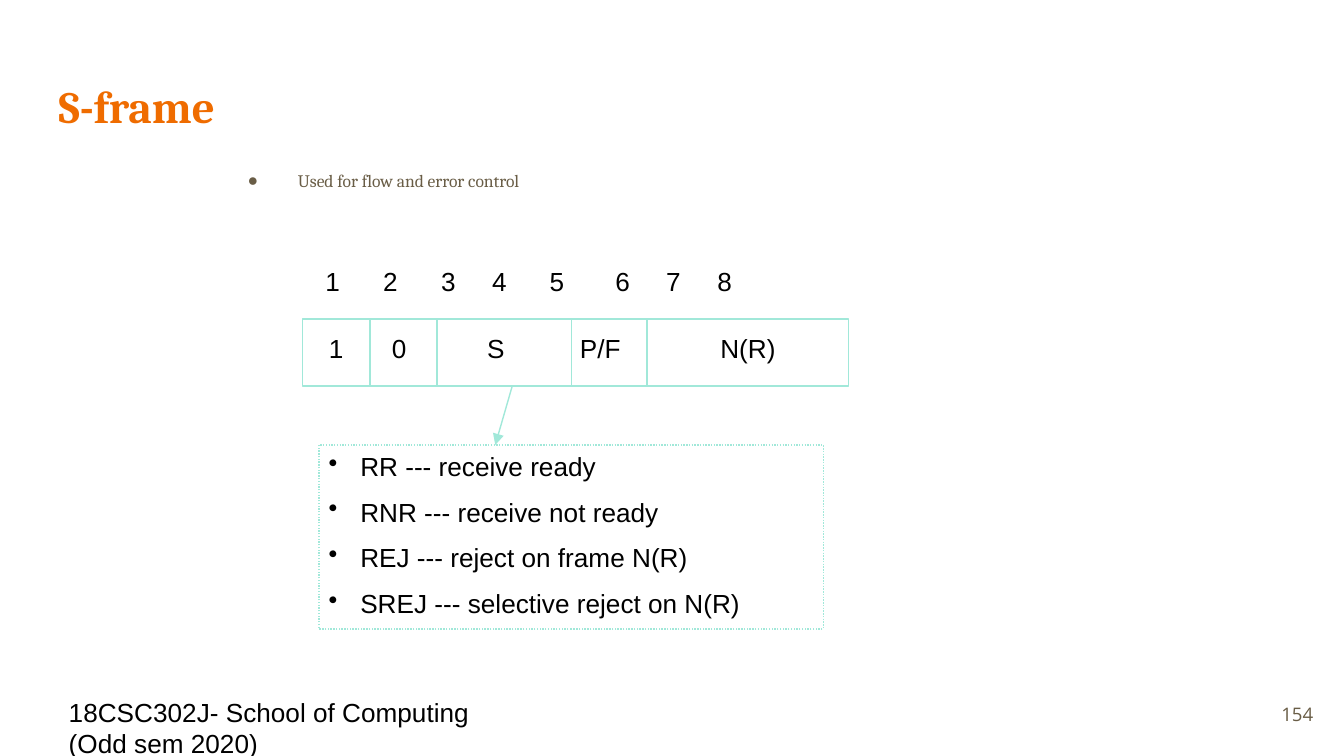
from pptx import Presentation
from pptx.dml.color import RGBColor
from pptx.enum.dml import MSO_LINE
from pptx.enum.shapes import MSO_CONNECTOR, MSO_SHAPE
from pptx.enum.text import MSO_ANCHOR as Anchor, MSO_AUTO_SIZE as AutoSize, PP_ALIGN as Align
from pptx.oxml.ns import qn
from pptx.util import Cm, Pt
from lxml.etree import SubElement

ORANGE, BROWN, MINT, BLACK = "EF6C00", "695D46", "A1E8D9", "000000"


def color(hex_string):
    """Turn a hex string into a colour."""
    return RGBColor.from_string(hex_string)


def write(frame, text, size=14, font="Arial", ink=BLACK, bold=False, align=Align.LEFT,
          anchor=Anchor.TOP, inset=(0.18, 0.1), gap=0, line_spacing=None,
          bullet=None, margin=0, hanging=0, tabs=()):
    """Fill a text frame with one paragraph per line of text."""
    frame.word_wrap = True
    frame.auto_size = AutoSize.NONE
    frame.vertical_anchor = anchor
    frame.margin_left = frame.margin_right = Cm(inset[0])
    frame.margin_top = frame.margin_bottom = Cm(inset[1])
    frame.text = text
    for index, paragraph in enumerate(frame.paragraphs):
        properties = paragraph._p.get_or_add_pPr()
        if bullet:
            properties.set("marL", str(Cm(margin)))
            properties.set("indent", str(-Cm(hanging)))
            SubElement(properties, qn("a:buChar"), char=bullet)
        if tabs:
            tab_list = SubElement(properties, qn("a:tabLst"))
            for stop in tabs:
                SubElement(tab_list, qn("a:tab"), pos=str(Cm(stop)), algn="l")
        paragraph.alignment = align
        paragraph.space_before = Pt(gap if index else 0)
        if line_spacing:
            paragraph.line_spacing = line_spacing
        style = paragraph.font
        style.name, style.size, style.bold = font, Pt(size), bold
        style.color.rgb = color(ink)


def place(part, box):
    """Move a placeholder to a box in centimetres."""
    part.left, part.top, part.width, part.height = map(Cm, box)


def label(slide, box, text, **style):
    """Add a text box in centimetres."""
    write(slide.shapes.add_textbox(*map(Cm, box)).text_frame, text, **style)


def outline(slide, box, dash=None):
    """Add an unfilled rectangle with a thin mint border."""
    rectangle = slide.shapes.add_shape(MSO_SHAPE.RECTANGLE, *map(Cm, box))
    rectangle.shadow.inherit = False
    rectangle.fill.background()
    rectangle.line.color.rgb = color(MINT)
    rectangle.line.width = Pt(0.75)
    if dash:
        rectangle.line.dash_style = dash
    return rectangle


def connect(slide, start, end, arrow=False):
    """Draw a thin mint line, with an arrowhead at its end if asked."""
    link = slide.shapes.add_connector(MSO_CONNECTOR.STRAIGHT, *map(Cm, start + end))
    link.line.color.rgb = color(MINT)
    link.line.width = Pt(0.75)
    if arrow:
        SubElement(link.line._get_or_add_ln(), qn("a:tailEnd"), type="triangle")
    SubElement(link._element.spPr, qn("a:effectLst"))


def add_heading(slide, title_box, body_box):
    """Fill the title and the bullet below it."""
    title, body = slide.placeholders
    place(title, title_box)
    write(title.text_frame, "S-frame", size=24, font="Cambria", ink=ORANGE, bold=True,
          inset=(0.25, 0.25))
    place(body, body_box)
    write(body.text_frame, "Used for flow and error control", size=9.4, font="Cambria",
          ink=BROWN, inset=(0.25, 0.25), line_spacing=1.3,
          bullet="●", margin=1.27, hanging=0.95)


def add_control_field(slide, box):
    """Draw the bit numbers and the divided control field."""
    left, top, width, height = box
    label(slide, (left - 0.32, top - 1.11, width + 0.64, 0.79),
          "\t".join(str(bit) for bit in range(1, 9)), inset=(0.75, 0.1),
          tabs=(1.09, 2.19, 3.15, 4.24, 5.48, 6.44, 7.41))
    outline(slide, box)
    fields = (("1", 0, 1.27), ("0", 1.2, 2.45), ("S", 2.38, 4.92),
              ("P/F", 5.09, 6.51), ("N(R)", 6.67, 10.16))
    for name, start, end in fields:
        flush = name == "P/F"
        label(slide, (left + start, top + 0.16, end - start, 0.79), name,
              align=Align.LEFT if flush else Align.CENTER,
              inset=(0.15 if flush else 0, 0.1))
    for divider in (1.27, 2.54, 5.08, 6.51):
        connect(slide, (left + divider, top), (left + divider, top + height))


def add_codes(slide, box, source):
    """List the S codes in a dotted box, with an arrow from their field."""
    codes = outline(slide, box, MSO_LINE.ROUND_DOT)
    write(codes.text_frame,
          "RR --- receive ready\n"
          "RNR --- receive not ready\n"
          "REJ --- reject on frame N(R)\n"
          "SREJ --- selective reject on N(R)",
          gap=7.7, bullet="•", margin=0.6, hanging=0.6)
    connect(slide, source, (box[0] + 3.33, box[1]), arrow=True)


def add_footer(slide, course_box, number_box):
    """Write the course line and the slide number."""
    label(slide, course_box, "18CSC302J- School of Computing (Odd sem 2020)")
    label(slide, number_box, "154", size=10, font="Open Sans", ink=BROWN,
          align=Align.RIGHT, anchor=Anchor.MIDDLE, inset=(0.25, 0.25))


def main():
    """Build the slide and save it."""
    deck = Presentation()
    deck.slide_width, deck.slide_height = Cm(25.4), Cm(14.29)
    slide = deck.slides.add_slide(deck.slide_layouts[1])
    add_heading(slide, (0.86, 1.24, 23.67, 1.96), (4.11, 2.84, 16.03, 1.12))
    add_control_field(slide, (5.72, 6.03, 10.32, 1.27))
    add_codes(slide, (6.03, 8.41, 9.53, 3.48), (9.68, 7.3))
    add_footer(slide, (1.12, 13.06, 8.59, 0.76), (23.55, 12.95, 1.52, 1.09))
    deck.save("out.pptx")


if __name__ == "__main__":
    main()
